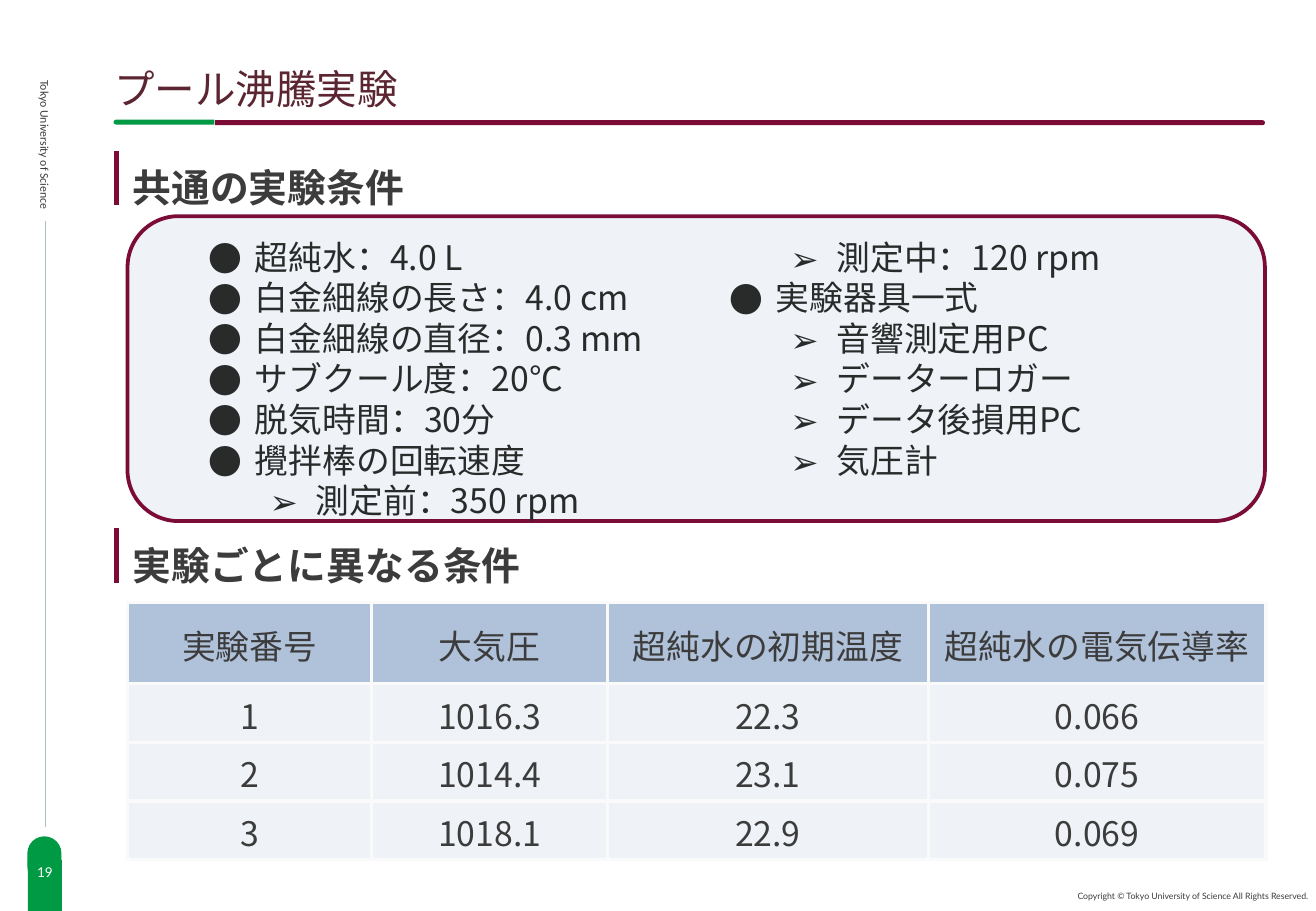
from lxml import etree
from pptx import Presentation
from pptx import util as u
from pptx.dml.color import RGBColor
from pptx.enum import shapes, text
from pptx.oxml import ns

GOTHIC = "Noto Sans CJK JP"
MAROON, GREEN, DARK = "7A0C36", "009944", "3C3C3C"
PALE, HEADER, WHITE = "EFF2F7", "B0C1DA", "FFFFFF"
SHAPE, ALIGN = shapes.MSO_SHAPE, text.PP_ALIGN

CONDITIONS = [
    (0, "超純水：4.0 L"),
    (0, "白金細線の長さ：4.0 cm"),
    (0, "白金細線の直径：0.3 mm"),
    (0, "サブクール度：20℃"),
    (0, "脱気時間：30分"),
    (0, "攪拌棒の回転速度"),
    (1, "測定前：350 rpm"),
    (1, "測定中：120 rpm"),
    (0, "実験器具一式"),
    (1, "音響測定用PC"),
    (1, "データーロガー"),
    (1, "データ後損用PC"),
    (1, "気圧計"),
]
RUNS = [
    ["実験番号", "大気圧", "超純水の初期温度", "超純水の電気伝導率"],
    ["1", "1016.3", "22.3", "0.066"],
    ["2", "1014.4", "23.1", "0.075"],
    ["3", "1018.1", "22.9", "0.069"],
]


def rgb(value):
    return RGBColor.from_string(value)


def inches(*values):
    return [u.Inches(v) for v in values]


def sub(parent, tag, **attrs):
    return etree.SubElement(parent, ns.qn(tag), attrs)


def set_fill(target, color):
    target.fill.solid()
    target.fill.fore_color.rgb = rgb(color)


def format_runs(p, size, color, font=GOTHIC, bold=False):
    for r in p.runs:
        r.font.size = u.Pt(size)
        r.font.bold = bold
        r.font.color.rgb = rgb(color)
        r.font.name = font
        sub(r._r.get_or_add_rPr(), "a:ea", typeface=font)


def add_text(s, box, words, size, color, font=GOTHIC, bold=False,
             align=ALIGN.LEFT, spacing=1.0, anchor=text.MSO_ANCHOR.TOP):
    sp = s.shapes.add_textbox(*inches(*box))
    tf = sp.text_frame
    tf.word_wrap = True
    tf.margin_left = tf.margin_right = tf.margin_top = tf.margin_bottom = 0
    tf.vertical_anchor = anchor
    tf.text = words
    p = tf.paragraphs[0]
    p.alignment = align
    p.line_spacing = spacing
    format_runs(p, size, color, font, bold)
    return sp


def add_block(s, kind, box, color, rotation=0, adjustments=(), outline=None):
    sp = s.shapes.add_shape(kind, *inches(*box))
    sp.shadow.inherit = False
    sp.rotation = rotation
    for i, value in enumerate(adjustments):
        sp.adjustments[i] = value
    set_fill(sp, color)
    if outline:
        sp.line.color.rgb = rgb(outline)
        sp.line.width = u.Pt(2.25)
    else:
        sp.line.fill.background()


def add_vertical_line(s, x, top, bottom, color, width):
    line = s.shapes.add_connector(shapes.MSO_CONNECTOR.STRAIGHT,
                                  *inches(x, top, x, bottom))
    line.line.color.rgb = rgb(color)
    line.line.width = u.Pt(width)
    sub(line._element.spPr, "a:effectLst")


def add_heading(s, top, words):
    add_vertical_line(s, 0.96, top, top + 0.45, MAROON, 3)
    add_text(s, (1.09, top + 0.03, 5, 0.45), words, 23, DARK,
             bold=True, spacing=1.2)


def add_conditions(s):
    add_block(s, SHAPE.ROUNDED_RECTANGLE, (1.05, 1.78, 9.36, 2.51), PALE,
              outline=MAROON)
    sp = s.shapes.add_textbox(*inches(1.62, 1.9, 8.77, 2.46))
    tf = sp.text_frame
    tf.word_wrap = True
    tf.auto_size = text.MSO_AUTO_SIZE.SHAPE_TO_FIT_TEXT
    tf._txBody.bodyPr.set("numCol", "2")
    for i, (level, words) in enumerate(CONDITIONS):
        p = tf.paragraphs[0] if i == 0 else tf.add_paragraph()
        p.text = words
        p.level = level
        pPr = p._p.get_or_add_pPr()
        pPr.set("marL", str(u.Inches(0.38 + 0.5 * level)))
        pPr.set("indent", str(u.Inches(-0.38)))
        sub(pPr, "a:buFont", typeface=GOTHIC)
        sub(pPr, "a:buChar", char="●➢"[level])
        format_runs(p, 20, "292B2B")


def add_borders(cell):
    tcPr = cell._tc.get_or_add_tcPr()
    for side in "LRTB":
        ln = sub(tcPr, "a:ln" + side, w=str(u.Pt(2.25)))
        sub(sub(ln, "a:solidFill"), "a:srgbClr", val="FAFAFA")


def add_run_table(s):
    frame = s.shapes.add_table(len(RUNS), len(RUNS[0]),
                               *inches(1.05, 4.96, 9.37, 2.08))
    table = frame.table
    table.first_row = table.horz_banding = False
    for column, width in zip(table.columns, (2.01, 1.94, 2.64, 2.78)):
        column.width = u.Inches(width)
    for i, values in enumerate(RUNS):
        table.rows[i].height = u.Inches(0.47 if i else 0.67)
        for j, words in enumerate(values):
            cell = table.cell(i, j)
            cell.text = words
            cell.margin_left = cell.margin_right = u.Inches(0.03)
            cell.margin_top = cell.margin_bottom = u.Inches(0.03)
            cell.vertical_anchor = text.MSO_ANCHOR.MIDDLE
            add_borders(cell)
            set_fill(cell, PALE if i else HEADER)
            p = cell.text_frame.paragraphs[0]
            p.alignment = ALIGN.CENTER
            p.line_spacing = u.Pt(30.4)
            format_runs(p, 20, DARK)


def add_frame(s):
    add_text(s, (8.69, 7.33, 2.08, 0.12),
             "Copyright © Tokyo University of Science All Rights Reserved.",
             5.2, DARK, "Lato", align=ALIGN.RIGHT, spacing=1.05)
    add_block(s, SHAPE.ROUND_2_SAME_RECTANGLE, (1.33, 0.59, 0.04, 0.83),
              GREEN, 270, (0.5, 0))
    add_block(s, SHAPE.ROUND_2_SAME_RECTANGLE, (6.07, -3.31, 0.04, 8.64),
              MAROON, 90, (0.5, 0))
    add_block(s, SHAPE.ROUNDED_RECTANGLE, (0.17, 6.94, 0.39, 0.28),
              GREEN, 90, (0.5,))
    add_block(s, SHAPE.RECTANGLE, (0.23, 7.08, 0.28, 0.42), GREEN)
    add_text(s, (0.24, 7.03, 0.26, 0.3), "19", 8, WHITE, "Lato",
             align=ALIGN.CENTER, anchor=text.MSO_ANCHOR.MIDDLE)
    add_vertical_line(s, 0.37, 1.82, 6.81, "B1C0B7", 0.25)
    side = add_text(s, (-0.2, 1.17, 1.14, 0.12), "Tokyo University of Science",
                    7, DARK, "Calibri")
    side.rotation = 90


def main():
    prs = Presentation()
    prs.slide_width, prs.slide_height = inches(10.83, 7.5)
    s = prs.slides.add_slide(prs.slide_layouts[6])
    add_frame(s)
    add_text(s, (0.94, 0.45, 9.47, 0.46), "プール沸騰実験", 24, "5B2531",
             spacing=1.2)
    add_heading(s, 1.24, "共通の実験条件")
    add_heading(s, 4.35, "実験ごとに異なる条件")
    add_conditions(s)
    add_run_table(s)
    prs.save("out.pptx")


if __name__ == "__main__":
    main()
